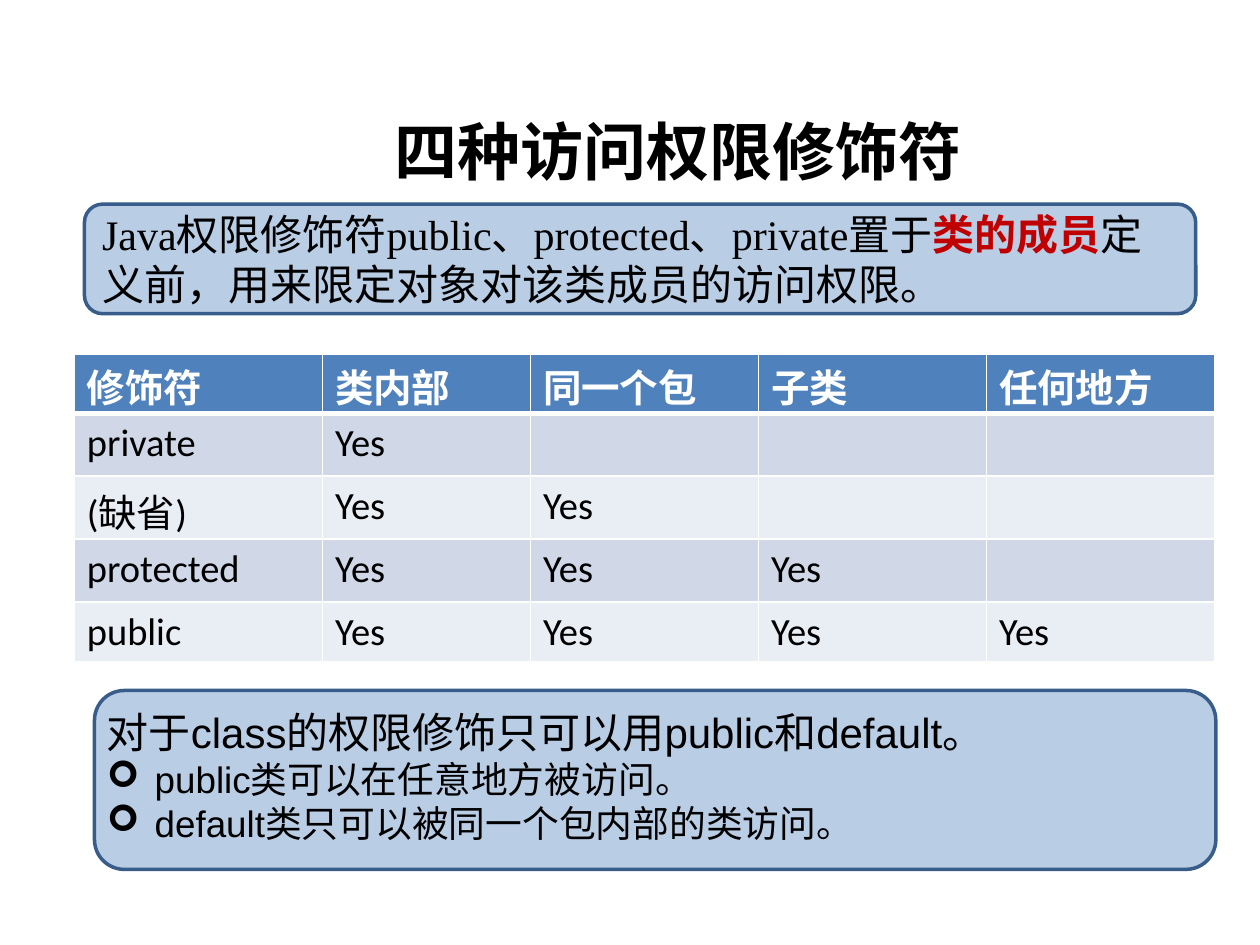
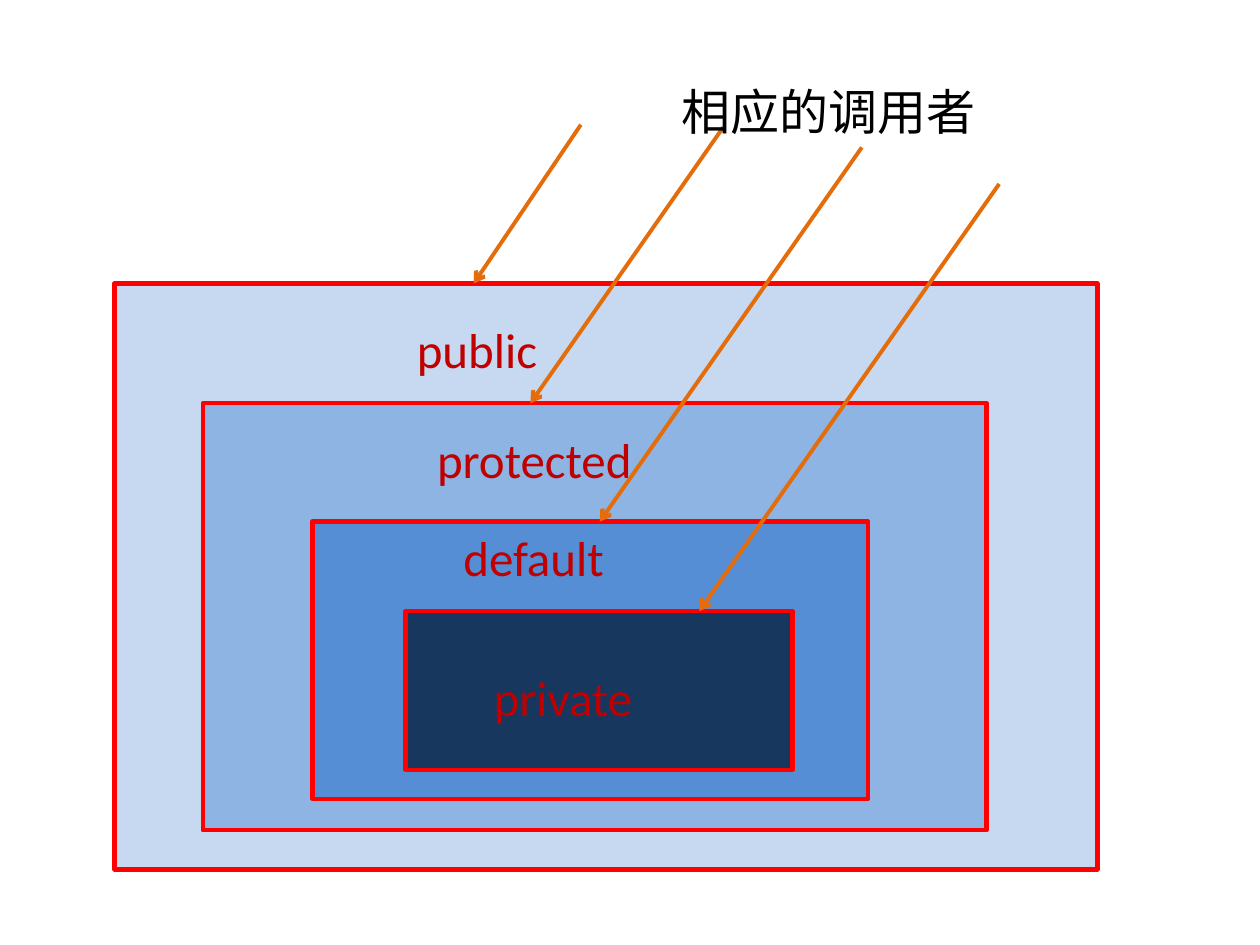
"""Build two slides on the access modifiers of Java."""
from lxml import etree
from pptx import Presentation
from pptx import util as u
from pptx.dml.color import RGBColor
from pptx.enum import shapes, text
from pptx.oxml.ns import qn

COLORS = {
    "black": "000000", "white": "FFFFFF", "accent": "C00000",
    "panel": "B9CDE5", "panel_line": "385D8A",
    "header": "4F81BD", "odd_row": "D0D8E8", "even_row": "E9EDF4",
    "scope_line": "FF0000", "arrow": "E46C0A",
}
CJK = "Noto Sans CJK SC"

TITLE = "四种访问权限修饰符"
INTRO = [
    ("Java权限修饰符public、protected、private置于", "black", False),
    ("类的成员", "accent", True),
    ("定义前，用来限定对象对该类成员的访问权限。", "black", False),
]
HEADERS = ["修饰符", "类内部", "同一个包", "子类", "任何地方"]
MODIFIERS = ["private", "(缺省)", "protected", "public"]
COLUMN_WIDTHS = [1.97, 1.65, 1.81, 1.81, 1.81]
ROW_HEIGHTS = [0.47, 0.5, 0.5, 0.5, 0.47]
CLASS_RULE = "对于class的权限修饰只可以用public和default。"
CLASS_POINTS = ["public类可以在任意地方被访问。", "default类只可以被同一个包内部的类访问。"]

CALLERS = "相应的调用者"
SCOPES = [
    ("public", "C6D9F1", (0.91, 2.25, 7.8, 4.65), (3.21, 2.49, 1.5), (4.61, 0.99), 3.76),
    ("protected", "8EB4E3", (1.61, 3.2, 6.22, 3.39), (3.37, 3.36, 1.95), (5.74, 1.01), 4.21),
    ("default", "558ED5", (2.48, 4.14, 4.41, 2.2), (3.58, 4.14, 1.5), (6.84, 1.17), 4.76),
    ("private", "17375E", (3.22, 4.85, 3.07, 1.26), (3.82, 5.25, 1.5), (7.93, 1.46), 5.55),
]


def rgb(color):
    return RGBColor.from_string(COLORS.get(color, color))


def inches(*lengths):
    return [u.Inches(length) for length in lengths]


def style_span(span, size, font, color="black", bold=False):
    span.font.size = u.Pt(size)
    span.font.name = font
    span.font.bold = bold
    span.font.color.rgb = rgb(color)
    east_asian = etree.SubElement(span.font._element, qn("a:ea"))
    east_asian.set("typeface", CJK)


def add_text(page, place, lines, font, color="black", bold=False):
    box = page.shapes.add_textbox(*inches(*place))
    frame = box.text_frame
    frame.word_wrap = True
    frame.text = "\n".join(line for line, _ in lines)
    for para, (_, size) in zip(frame.paragraphs, lines):
        style_span(para.runs[0], size, font, color, bold)
    return frame


def add_panel(page, kind, place, fill, line, width):
    panel = page.shapes.add_shape(kind, *inches(*place))
    panel.shadow.inherit = False
    panel.fill.solid()
    panel.fill.fore_color.rgb = rgb(fill)
    panel.line.color.rgb = rgb(line)
    panel.line.width = u.Pt(width)
    return panel


def add_bullet(para):
    properties = para._p.get_or_add_pPr()
    properties.set("marL", str(u.Inches(0.38)))
    properties.set("indent", str(u.Inches(-0.38)))
    etree.SubElement(properties, qn("a:buFont")).set("typeface", "Wingdings")
    etree.SubElement(properties, qn("a:buChar")).set("char", "➢")


def add_borders(cell, top, bottom):
    properties = cell._tc.get_or_add_tcPr()
    for side, width in (("L", 1), ("R", 1), ("T", top), ("B", bottom)):
        edge = etree.SubElement(properties, qn(f"a:ln{side}"), w=str(u.Pt(width)))
        fill = etree.SubElement(edge, qn("a:solidFill"))
        etree.SubElement(fill, qn("a:srgbClr"), val=COLORS["white"])


def add_access_table(page):
    rows = [HEADERS]
    for reach, modifier in enumerate(MODIFIERS, 1):
        rows.append([modifier] + ["Yes"] * reach + [""] * (len(MODIFIERS) - reach))
    place = (0.59, 2.81, sum(COLUMN_WIDTHS), sum(ROW_HEIGHTS))
    table = page.shapes.add_table(len(rows), len(HEADERS), *inches(*place)).table
    for column, width in zip(table.columns, COLUMN_WIDTHS):
        column.width = u.Inches(width)
    for row, height in zip(table.rows, ROW_HEIGHTS):
        row.height = u.Inches(height)
    for row_index, words in enumerate(rows):
        is_header = row_index == 0
        fill = "header" if is_header else ("even_row", "odd_row")[row_index % 2]
        for column_index, word in enumerate(words):
            cell = table.cell(row_index, column_index)
            add_borders(cell, 3 if row_index == 1 else 1, 3 if is_header else 1)
            cell.fill.solid()
            cell.fill.fore_color.rgb = rgb(fill)
            cell.margin_top = u.Inches(0.03 if is_header else 0.05)
            cell.margin_bottom = 0
            para = cell.text_frame.paragraphs[0]
            para.font.size = u.Pt(22)
            if word:
                para.text = word
                style_span(para.runs[0], 22, CJK if is_header else "Calibri",
                           "white" if is_header else "black", is_header)


def add_arrow(page, start, end):
    arrow = page.shapes.add_connector(shapes.MSO_CONNECTOR.STRAIGHT, *inches(*start, *end))
    arrow.line.color.rgb = rgb("arrow")
    arrow.line.width = u.Pt(2.25)
    etree.SubElement(arrow.line._get_or_add_ln(), qn("a:tailEnd"), type="arrow")
    etree.SubElement(arrow._element.spPr, qn("a:effectLst"))


def build_modifier_slide(page):
    rounded = shapes.MSO_SHAPE.ROUNDED_RECTANGLE
    add_panel(page, rounded, (0.75, 5.48, 8.9, 1.42), "panel", "panel_line", 2)
    intro = add_panel(page, rounded, (0.67, 1.62, 8.82, 0.87), "panel", "panel_line", 2)
    intro.text_frame.vertical_anchor = text.MSO_ANCHOR.MIDDLE
    para = intro.text_frame.paragraphs[0]
    para.alignment = text.PP_ALIGN.LEFT
    for words, color, bold in INTRO:
        span = para.add_run()
        span.text = words
        style_span(span, 24, "Times New Roman", color, bold)
    add_text(page, (3.03, 0.84, 4.96, 0.71), [(TITLE, 36)], "Arial", bold=True)
    add_access_table(page)
    lines = [(CLASS_RULE, 24)] + [(point, 21) for point in CLASS_POINTS]
    frame = add_text(page, (0.75, 5.56, 8.9, 1.25), lines, "Arial")
    for para in frame.paragraphs[1:]:
        add_bullet(para)


def build_scope_slide(page):
    for _, fill, place, *_ in SCOPES:
        add_panel(page, shapes.MSO_SHAPE.RECTANGLE, place, fill, "scope_line", 2.5)
    for name, _, _, label, *_ in SCOPES:
        add_text(page, (*label, 0.57), [(name, 28)], "Calibri", "accent")
    for _, _, place, _, start, tip in SCOPES:
        add_arrow(page, start, (tip, place[1]))
    add_text(page, (5.31, 0.6, 3.39, 0.57), [(CALLERS, 28)], CJK)


def main():
    deck = Presentation()
    deck.slide_width, deck.slide_height = inches(10, 7.5)
    for build in (build_modifier_slide, build_scope_slide):
        build(deck.slides.add_slide(deck.slide_layouts[6]))
    deck.save("out.pptx")


if __name__ == "__main__":
    main()
